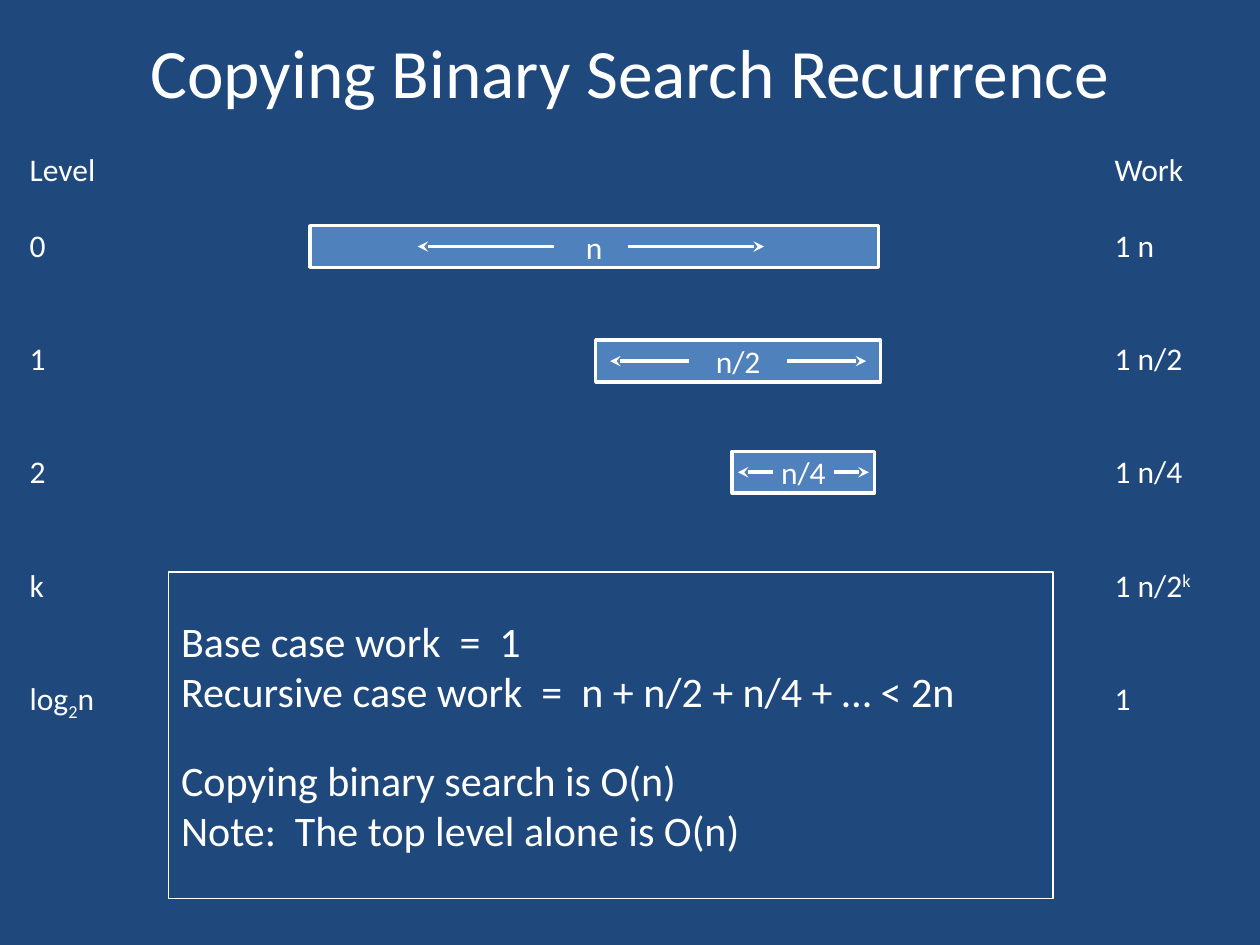
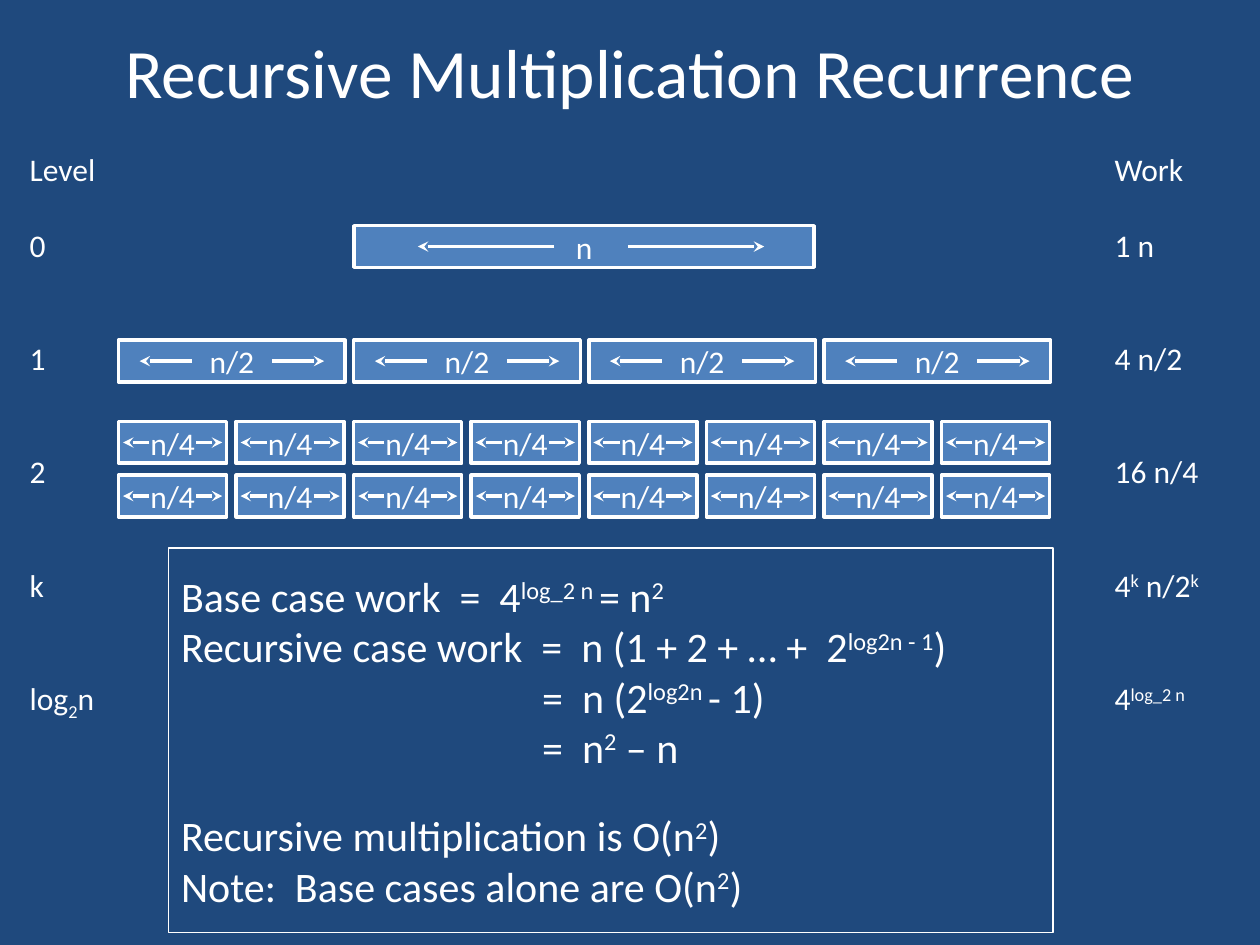
"""Build two slides that show the work per level of a recurrence."""
import lxml.etree
import pptx
import pptx.dml.color
import pptx.enum.shapes
import pptx.enum.text
import pptx.oxml.ns
import pptx.util

Cm = pptx.util.Cm
Pt = pptx.util.Pt
ALIGN = pptx.enum.text.PP_ALIGN
ANCHOR = pptx.enum.text.MSO_ANCHOR
RECTANGLE = pptx.enum.shapes.MSO_SHAPE.RECTANGLE
STRAIGHT = pptx.enum.shapes.MSO_CONNECTOR.STRAIGHT

COLOURS = {"background": "1F497D", "bar": "4F81BD", "ink": "FFFFFF"}
FONT = "Calibri"
BAR_HEIGHT = 0.84
BLANK_LINE = 21.6
EQUALS_INDENT = 7.28
LEVELS = ["Level", "0", "1", "2", "k", "log~2~n"]

SLIDES = [
    {
        "title": "Copying Binary Search Recurrence",
        "work": ["Work", "1 n", "1 n/2", "1 n/4", "1 n/2^k^", "1"],
        "bars": [
            {"label": "n", "left": 6.25, "top": 4.55, "width": 11.46,
             "inner": 0.74, "outer": 3.49, "shift": -0.07},
            {"label": "n/2", "left": 12.01, "top": 6.86, "width": 5.74,
             "inner": 0.98, "outer": 2.58},
            {"label": "n/4", "left": 14.76, "top": 9.1, "width": 2.87,
             "inner": 0.62, "outer": 1.32},
        ],
        "summary_top": 11.53,
        "summary_height": 6.58,
        "summary": [
            {"text": "Base case work  =  1"},
            {"text": "Recursive case work  =  n + n/2 + n/4 + … < 2n"},
            {"text": "Copying binary search is O(n)", "before": BLANK_LINE},
            {"text": "Note:  The top level alone is O(n)"},
        ],
    },
    {
        "title": "Recursive Multiplication Recurrence",
        "work": ["Work", "1 n", "4 n/2", "16 n/4", "4^k^ n/2^k^", "4^log_2 n^"],
        "bars": [
            {"label": "n", "left": 7.14, "top": 4.55, "width": 9.27,
             "inner": 0.74, "outer": 3.49, "shift": 0.14},
            {"label": "n/2", "left": 2.39, "top": 6.86, "width": 4.57,
             "inner": 0.81, "outer": 1.86, "columns": 4, "pitch": 4.74},
            {"label": "n/4", "left": 2.39, "top": 8.5, "width": 2.18,
             "inner": 0.47, "outer": 1, "columns": 8, "pitch": 2.37, "rows": 2},
        ],
        "summary_top": 11.05,
        "summary_height": 7.75,
        "summary": [
            {"text": "Base case work  =  4^log_2 n ^= n^2^"},
            {"text": "Recursive case work  =  n (1 + 2 + … +  2^log2n - 1^)"},
            {"text": "=  n (2^log2n ^- 1)", "indent": EQUALS_INDENT},
            {"text": "=  n^2^ – n", "indent": EQUALS_INDENT},
            {"text": "Recursive multiplication is O(n^2^)", "before": BLANK_LINE},
            {"text": "Note:  Base cases alone are O(n^2^)"},
        ],
    },
]


def colour(name):
    return pptx.dml.color.RGBColor.from_string(COLOURS[name])


def write(box, lines, size=18, align=ALIGN.LEFT, anchor=ANCHOR.MIDDLE):
    """Write lines where ^ encloses raised and ~ encloses lowered text."""
    frame = box.text_frame
    frame.word_wrap = True
    frame.vertical_anchor = anchor
    for number, line in enumerate(lines):
        para = frame.add_paragraph() if number else frame.paragraphs[0]
        para.alignment = align
        para.space_before = Pt(line.get("before", 0))
        if "indent" in line:
            para._p.get_or_add_pPr().set("marL", str(Cm(line["indent"])))
        for raised, piece in enumerate(line["text"].split("^")):
            for lowered, part in enumerate(piece.split("~")):
                if not part:
                    continue
                span = para.add_run()
                span.text = part
                span.font.name = FONT
                span.font.size = Pt(size)
                span.font.color.rgb = colour("ink")
                if raised % 2 or lowered % 2:
                    shift = "30000" if raised % 2 else "-25000"
                    span.font._element.set("baseline", shift)


def add_text(page, left, top, width, height, lines, **style):
    box = page.shapes.add_textbox(Cm(left), Cm(top), Cm(width), Cm(height))
    write(box, lines, **style)


def add_rectangle(shapes, left, top, width, height, line_width, fill=None):
    box = shapes.add_shape(RECTANGLE, Cm(left), Cm(top), Cm(width), Cm(height))
    box.shadow.inherit = False
    if fill:
        box.fill.solid()
        box.fill.fore_color.rgb = colour(fill)
    else:
        box.fill.background()
    box.line.color.rgb = colour("ink")
    box.line.width = Pt(line_width)
    return box


def add_arrow(shapes, start, end, height):
    arrow = shapes.add_connector(STRAIGHT, Cm(start), Cm(height), Cm(end), Cm(height))
    arrow.line.color.rgb = colour("ink")
    arrow.line.width = Pt(2)
    outline = arrow.line._get_or_add_ln()
    lxml.etree.SubElement(outline, pptx.oxml.ns.qn("a:tailEnd"), type="stealth")
    lxml.etree.SubElement(arrow._element.spPr, pptx.oxml.ns.qn("a:effectLst"))


def add_bars(page, bar):
    shapes = page.shapes.add_group_shape().shapes
    for row in range(bar.get("rows", 1)):
        top = bar["top"] + row * 1.08
        for column in range(bar.get("columns", 1)):
            left = bar["left"] + column * bar.get("pitch", 0)
            box = add_rectangle(shapes, left, top, bar["width"], BAR_HEIGHT, 2, "bar")
            write(box, [{"text": bar["label"]}], align=ALIGN.CENTER)
            middle = left + bar["width"] / 2 + bar.get("shift", 0)
            for side in (1, -1):
                add_arrow(shapes, middle + side * bar["inner"],
                          middle + side * bar["outer"], top + BAR_HEIGHT / 2)


def add_column(page, left, width, height, entries):
    gaps = [0, BLANK_LINE] + [2 * BLANK_LINE] * (len(entries) - 2)
    lines = [{"text": text, "before": gap} for text, gap in zip(entries, gaps)]
    add_text(page, left, 2.9, width, height, lines, anchor=ANCHOR.TOP)


def add_slide(deck, content):
    page = deck.slides.add_slide(deck.slide_layouts[6])
    add_text(page, 1.27, 0.43, 22.86, 1.98, [{"text": content["title"]}],
             size=39.6, align=ALIGN.CENTER)
    for bar in content["bars"]:
        add_bars(page, bar)
    add_column(page, 0.35, 1.9, 12.57, LEVELS)
    add_column(page, 22.22, 2.34, 11.81, content["work"])
    summary = add_rectangle(page.shapes, 3.4, content["summary_top"], 17.83,
                            content["summary_height"], 0.75)
    write(summary, content["summary"], size=24)


deck = pptx.Presentation()
deck.slide_width = Cm(25.4)
deck.slide_height = Cm(19.05)
deck.slide_master.background.fill.solid()
deck.slide_master.background.fill.fore_color.rgb = colour("background")
for content in SLIDES:
    add_slide(deck, content)
deck.save("out.pptx")
